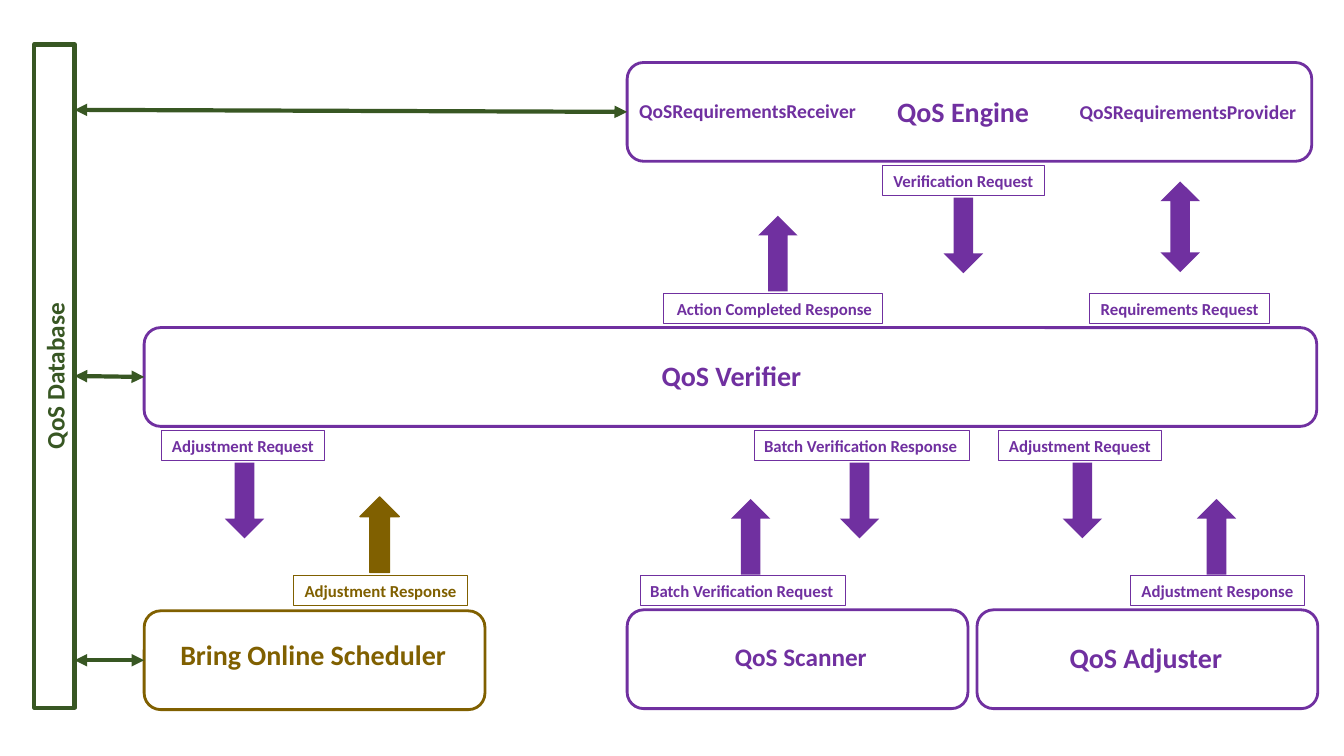
from typing import NamedTuple

from lxml import etree
from pptx import Presentation
from pptx.dml.color import RGBColor
from pptx.enum.shapes import MSO_CONNECTOR, MSO_SHAPE
from pptx.enum.text import MSO_ANCHOR, MSO_AUTO_SIZE, PP_ALIGN
from pptx.oxml.ns import qn
from pptx.util import Inches, Pt

RECT, ROUNDED = MSO_SHAPE.RECTANGLE, MSO_SHAPE.ROUNDED_RECTANGLE
UP, DOWN, UP_DOWN = MSO_SHAPE.UP_ARROW, MSO_SHAPE.DOWN_ARROW, MSO_SHAPE.UP_DOWN_ARROW
STRAIGHT = MSO_CONNECTOR.STRAIGHT
LEFT, CENTER, RIGHT = PP_ALIGN.LEFT, PP_ALIGN.CENTER, PP_ALIGN.RIGHT
MIDDLE = MSO_ANCHOR.MIDDLE
FIT = MSO_AUTO_SIZE.SHAPE_TO_FIT_TEXT

PURPLE = RGBColor(0x70, 0x30, 0xA0)
GREEN = RGBColor(0x38, 0x57, 0x23)
OLIVE = RGBColor(0x80, 0x60, 0x00)
FONT = "Calibri"
BOX_H, LABEL_H, ARROW_W, ARROW_H = 0.98, 0.3, 0.39, 0.75


class Box(NamedTuple):
    x: float
    y: float
    w: float
    color: RGBColor = PURPLE


class Title(NamedTuple):
    text: str
    x: float
    y: float
    w: float
    h: float = 0.44
    size: int = 20
    color: RGBColor = PURPLE
    align: PP_ALIGN = LEFT
    wrap: bool = False


class Label(NamedTuple):
    text: str
    x: float
    y: float
    w: float
    align: PP_ALIGN = CENTER
    color: RGBColor = PURPLE


class Arrow(NamedTuple):
    kind: MSO_SHAPE
    x: float
    y: float
    h: float = ARROW_H
    color: RGBColor = PURPLE
    outline: float = 0


class Link(NamedTuple):
    x: float
    y: float
    database_y: float


BOXES = [
    Box(6.22, 0.62, 6.79),
    Box(1.43, 3.25, 11.63),
    Box(1.43, 6.06, 3.38, OLIVE),
    Box(6.22, 6.05, 3.38),
    Box(9.69, 6.05, 3.38),
]
TITLES = [
    Title("QoS Engine", 8.8, 0.88, 1.52),
    Title("QoSRequirementsReceiver", 6.24, 0.93, 2.37, 0.34, 14),
    Title("QoSRequirementsProvider", 10.61, 0.94, 2.37, 0.34, 14),
    Title("QoS Verifier", 1.43, 3.5, 11.65, align=CENTER, wrap=True),
    Title("Bring Online Scheduler", 1.69, 6.27, 2.86, color=OLIVE),
    Title("QoS Scanner", 7.19, 6.31, 1.52, 0.4, 18),
    Title("QoS Adjuster", 10.51, 6.3, 1.73),
]
LABELS = [
    Label("Verification Request", 8.75, 1.64, 1.61),
    Label("Action Completed Response", 6.58, 2.91, 2.17, RIGHT),
    Label("Requirements Request", 10.81, 2.91, 1.78),
    Label("Adjustment Request", 1.6, 4.27, 1.62),
    Label("Batch Verification Response", 7.48, 4.27, 2.14, LEFT),
    Label("Adjustment Request", 9.9, 4.27, 1.62),
    Label("Adjustment Response", 2.91, 5.71, 1.73, color=OLIVE),
    Label("Batch Verification Request", 6.35, 5.71, 2.04, LEFT),
    Label("Adjustment Response", 11.21, 5.71, 1.73),
]
ARROWS = [
    Arrow(DOWN, 9.36, 1.96),
    Arrow(UP_DOWN, 11.51, 1.8, 0.9),
    Arrow(UP, 7.52, 2.14),
    Arrow(DOWN, 2.23, 4.59),
    Arrow(DOWN, 8.33, 4.59),
    Arrow(DOWN, 10.54, 4.59),
    Arrow(UP, 3.57, 4.93, color=OLIVE, outline=1),
    Arrow(UP, 7.25, 4.95),
    Arrow(UP, 11.87, 4.95),
]
LINKS = [Link(6.22, 1.11, 1.09), Link(1.43, 3.74, 3.73), Link(1.43, 6.55, 6.55)]

prs = Presentation()
prs.slide_width, prs.slide_height = Inches(13.33), Inches(7.5)
s = prs.slides.add_slide(prs.slide_layouts[6])


def add_shape(kind: MSO_SHAPE, x: float, y: float, w: float, h: float, *,
              fill: RGBColor | None = None, line: RGBColor | None = None,
              width: float = 0):
    sp = s.shapes.add_shape(kind, Inches(x), Inches(y), Inches(w), Inches(h))
    sp.shadow.inherit = False
    if fill is None:
        sp.fill.background()
    else:
        sp.fill.solid()
        sp.fill.fore_color.rgb = fill
    if width:
        sp.line.color.rgb = line
        sp.line.width = Pt(width)
    else:
        sp.line.fill.background()
    return sp


def set_text(sp, text: str, *, size: float, color: RGBColor,
             align: PP_ALIGN = CENTER, wrap: bool = False) -> None:
    tf = sp.text_frame
    tf.word_wrap = wrap
    tf.auto_size = FIT
    tf.vertical_anchor = MIDDLE
    p = tf.paragraphs[0]
    p.alignment = align
    r = p.add_run()
    r.text = text
    r.font.name = FONT
    r.font.size = Pt(size)
    r.font.bold = True
    r.font.color.rgb = color


def add_title(t: Title) -> None:
    sp = s.shapes.add_textbox(Inches(t.x), Inches(t.y), Inches(t.w), Inches(t.h))
    set_text(sp, t.text, size=t.size, color=t.color, align=t.align, wrap=t.wrap)


def add_label(b: Label) -> None:
    sp = add_shape(RECT, b.x, b.y, b.w, LABEL_H, line=b.color, width=0.75)
    set_text(sp, b.text, size=12, color=b.color, align=b.align)


def add_link(k: Link) -> None:
    cx = s.shapes.add_connector(STRAIGHT, Inches(k.x), Inches(k.y),
                                Inches(0.74), Inches(k.database_y))
    cx.line.color.rgb = GREEN
    cx.line.width = Pt(3)
    ln = cx.line._get_or_add_ln()
    for end in ("a:headEnd", "a:tailEnd"):
        etree.SubElement(ln, qn(end), type="triangle")
    etree.SubElement(cx._element.spPr, qn("a:effectLst"))


for box in BOXES:
    add_shape(ROUNDED, box.x, box.y, box.w, BOX_H, line=box.color, width=2)
for title in TITLES:
    add_title(title)
for label in LABELS:
    add_label(label)
for arrow in ARROWS:
    add_shape(arrow.kind, arrow.x, arrow.y, ARROW_W, arrow.h, fill=arrow.color,
              line=arrow.color, width=arrow.outline)

database = add_shape(RECT, -2.75, 3.53, 6.58, 0.4, line=GREEN, width=3)
database.rotation = 270
set_text(database, "QoS Database", size=18, color=GREEN, wrap=True)
for link in LINKS:
    add_link(link)

prs.save("out.pptx")
